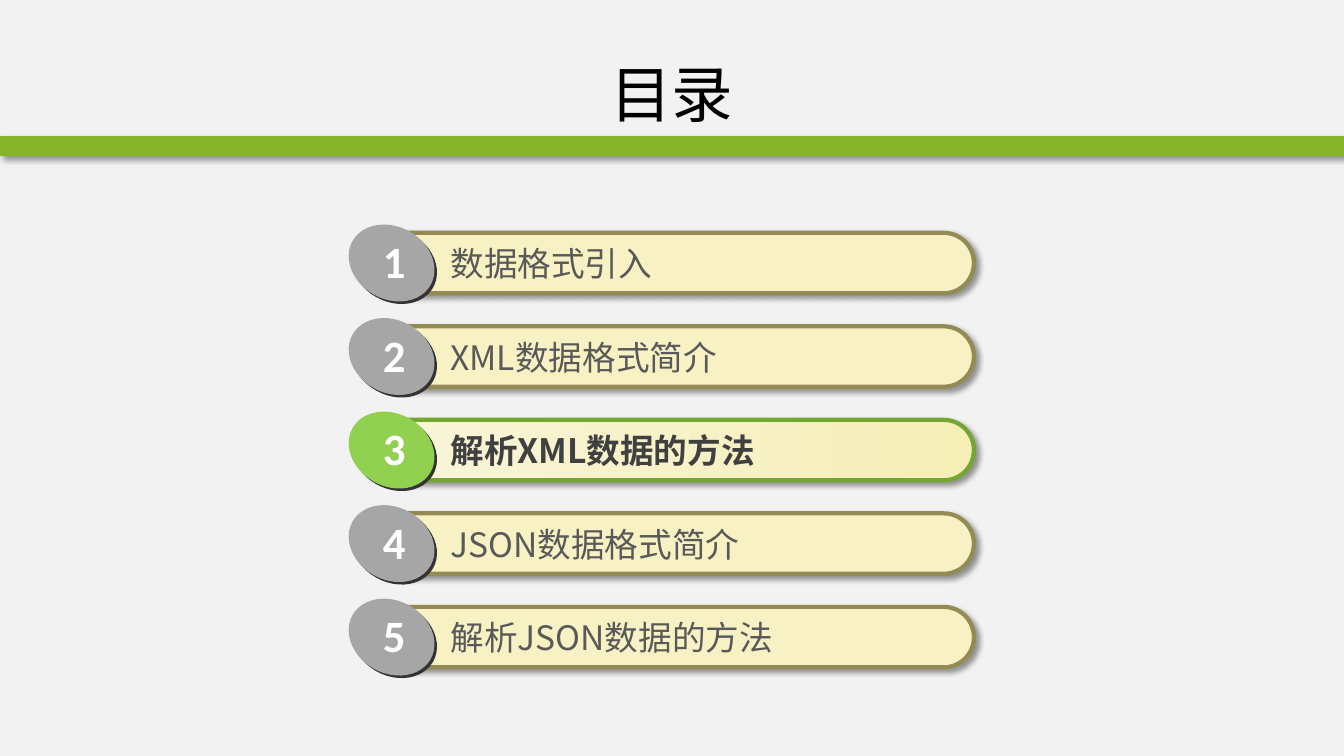
import pptx
import pptx.util
import pptx.dml.color
import pptx.enum.shapes
import pptx.enum.text
import pptx.oxml
import pptx.oxml.ns
import lxml.etree

Pt = pptx.util.Pt
KIND = pptx.enum.shapes.MSO_SHAPE
ALIGN = pptx.enum.text.PP_ALIGN
FIT = pptx.enum.text.MSO_AUTO_SIZE
HAN = "Noto Sans CJK SC"
ITEMS = [
    "数据格式引入",
    "XML数据格式简介",
    "解析XML数据的方法",
    "JSON数据格式简介",
    "解析JSON数据的方法",
]
ACTIVE = 3
PITCH = 66.8


def color(value):
    return pptx.dml.color.RGBColor.from_string(value)


def paint(fill, value):
    fill.solid()
    fill.fore_color.rgb = color(value)


def write(frame, text, size=24, tint="595959", bold=False, font=HAN,
          align=ALIGN.LEFT):
    para = frame.paragraphs[0]
    para.alignment = align
    run = para.add_run()
    run.text = text
    run.font.size = Pt(size)
    run.font.bold = bold
    run.font.color.rgb = color(tint)
    run.font.name = font
    east = lxml.etree.SubElement(run.font._element, pptx.oxml.ns.qn("a:ea"))
    east.set("typeface", font)


def label(shapes, box, text, wrap=True, **style):
    frame = shapes.add_textbox(*map(Pt, box)).text_frame
    frame.word_wrap = wrap
    frame.auto_size = FIT.SHAPE_TO_FIT_TEXT
    write(frame, text, **style)


def draw(shapes, kind, box, fill):
    shape = shapes.add_shape(kind, *map(Pt, box))
    shape.shadow.inherit = False
    shape.line.fill.background()
    paint(shape.fill, fill)
    return shape


def shade(shape):
    effect = shape._element.spPr.find(pptx.oxml.ns.qn("a:effectLst"))
    effect.append(pptx.oxml.parse_xml(
        f'<a:outerShdw {pptx.oxml.ns.nsdecls("a")} blurRad="{Pt(4)}" '
        f'dist="{Pt(3)}" dir="2700000" algn="tl" rotWithShape="0">'
        '<a:srgbClr val="000000"><a:alpha val="40000"/></a:srgbClr>'
        '</a:outerShdw>'))


def header(slide, left, top, width):
    shade(draw(slide.shapes, KIND.RECTANGLE,
               (left, top + 97.2, width, 14.4), "88B429"))
    title = slide.shapes.title
    title.left, title.top = Pt(left + 48), Pt(top + 21.6)
    title.width, title.height = Pt(width - 96), Pt(90)
    title.text_frame.vertical_anchor = pptx.enum.text.MSO_ANCHOR.MIDDLE
    write(title.text_frame, "目录", size=44, tint="000000",
          align=ALIGN.CENTER)


def entry(slide, left, top, number, text, active):
    shapes = slide.shapes.add_group_shape().shapes
    bar = draw(shapes, KIND.ROUNDED_RECTANGLE,
               (left + 16, top + 4.3, 432, 43.2), "F7F1C4")
    bar.adjustments[0] = 0.5
    paint(bar.line.fill, "74A731" if active else "948A54")
    bar.line.width = Pt(3)
    if active:
        bar.fill.gradient()
        bar.fill.gradient_angle = 0
        for stop, tint in zip(bar.fill.gradient_stops, ("F9F5D9", "F5EEB7")):
            stop.color.rgb = color(tint)
    shade(bar)
    label(shapes, (left + 67, top + 8, 366, 36.4), text, bold=active,
          tint="404040" if active else "595959")
    face = "92D050" if active else "A6A6A6"
    for shift, tint in ((1.8, "333333"), (0, face)):
        disc = draw(shapes, KIND.OVAL,
                    (left + shift, top + shift, 64, 51.8), tint)
        disc.rotation = 29.3
    label(shapes, (left + 18.7, top + 1.4, 31, 46), str(number), wrap=False,
          size=32, tint="FFFFFF", bold=True, font="Calibri")


def agenda(slide, left, top):
    for row, text in enumerate(ITEMS):
        entry(slide, left, top + row * PITCH, row + 1, text,
              row + 1 == ACTIVE)


def main():
    deck = pptx.Presentation()
    deck.slide_width, deck.slide_height = Pt(960), Pt(540)
    slide = deck.slides.add_slide(deck.slide_layouts[5])
    paint(slide.background.fill, "F2F2F2")
    header(slide, 0, 0, 960)
    agenda(slide, 247.7, 162)
    deck.save("out.pptx")


if __name__ == "__main__":
    main()
